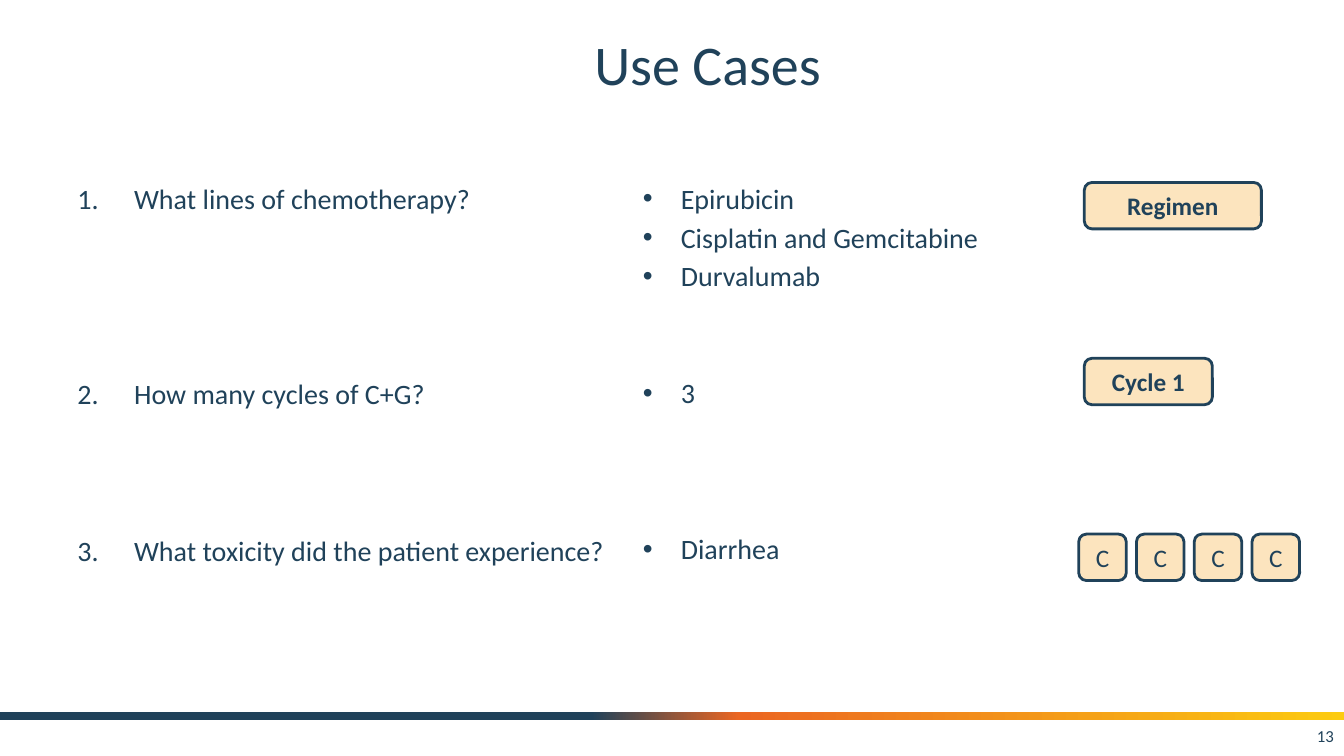
from lxml import etree
from pptx import Presentation
from pptx.dml.color import RGBColor
from pptx.enum.shapes import MSO_SHAPE as Shape
from pptx.enum.text import MSO_ANCHOR as Anchor, MSO_AUTO_SIZE as AutoSize, PP_ALIGN as Align
from pptx.oxml.ns import qn
from pptx.util import Pt

COLORS = {"navy": "20425A", "orange": "EB6622", "yellow": "FCCB10", "amber": "F5A118"}
FONT = "Calibri"
LINE_HEIGHT = 24.4  # of 20 pt text
LINE_PITCH = 28  # line height plus paragraph spacing
NUMBER = ("buAutoNum", {"type": "arabicPeriod"})
BULLET = ("buChar", {"char": "•"})

# Each entry: text, and how many lines it sits below the entry before it
QUESTIONS = [
    ("What lines of chemotherapy?", 0),
    ("How many cycles of C+G?", 5),
    ("What toxicity did the patient experience?", 4),
]
ANSWERS = [
    ("Epirubicin", 0),
    ("Cisplatin and Gemcitabine", 1),
    ("Durvalumab", 1),
    ("3", 3),
    ("Diarrhea", 4),
]


def color(name):
    return RGBColor.from_string(COLORS[name])


def place(shape, box):
    for name, value in zip(("left", "top", "width", "height"), box):
        setattr(shape, name, Pt(value))


def write(para, text, size, bold=False):
    span = para.add_run()
    span.text = text
    span.font.color.rgb = color("navy")
    for name, value in {"name": FONT, "size": Pt(size), "bold": bold}.items():
        setattr(span.font, name, value)


def set_frame(frame, anchor):
    settings = {"word_wrap": True, "auto_size": AutoSize.NONE, "vertical_anchor": anchor}
    for name, value in settings.items():
        setattr(frame, name, value)


def write_line(shape, text, size, align, bold=False):
    set_frame(shape.text_frame, Anchor.MIDDLE)
    para = shape.text_frame.paragraphs[0]
    para.alignment = align
    write(para, text, size, bold)


def add_title(page, box, text):
    place(page.shapes.title, box)
    write_line(page.shapes.title, text, 40, Align.CENTER)


def add_list(page, box, entries, marker, indent):
    area = page.shapes.add_textbox(*map(Pt, box))
    set_frame(area.text_frame, Anchor.TOP)
    for index, (text, lines_down) in enumerate(entries):
        para = area.text_frame.add_paragraph() if index else area.text_frame.paragraphs[0]
        para.space_before = Pt(lines_down * LINE_PITCH - LINE_HEIGHT if index else 0)
        write(para, text, 20)
        # Hanging marker in the text colour
        props = para._p.get_or_add_pPr()
        props.set("marL", str(Pt(indent)))
        props.set("indent", str(-Pt(indent)))
        tint = etree.SubElement(props, qn("a:buClr"))
        etree.SubElement(tint, qn("a:srgbClr"), val=COLORS["navy"])
        if marker is BULLET:
            etree.SubElement(props, qn("a:buFont"), typeface="Arial")
        tag, values = marker
        etree.SubElement(props, qn(f"a:{tag}"), values)


def add_chip(page, box, text, bold):
    chip = page.shapes.add_shape(Shape.ROUNDED_RECTANGLE, *map(Pt, box))
    chip.shadow.inherit = False
    chip.fill.solid()
    chip.fill.fore_color.rgb = color("amber")
    tint = next(chip._element.spPr.iter(qn("a:srgbClr")))
    etree.SubElement(tint, qn("a:alpha"), val="28000")
    chip.line.color.rgb = color("navy")
    chip.line.width = Pt(2)
    write_line(chip, text, 18, Align.CENTER, bold)


def add_chips(page, box):
    left, top, width, height = box
    row_pitch = 125.6
    add_chip(page, (left + 4, top, 126.5, height), "Regimen", True)
    add_chip(page, (left + 4, top + row_pitch, 91.5, height), "Cycle 1", True)
    chip_width, count = 34, 4
    pitch = (width - chip_width) / (count - 1)
    for index in range(count):
        chip_box = (left + index * pitch, top + 2 * row_pitch, chip_width, height)
        add_chip(page, chip_box, "C", False)


def add_footer(page, box, number):
    left, top, width, height = box
    band = page.shapes.add_shape(Shape.RECTANGLE, *map(Pt, (left, top, width, 5.8)))
    band.shadow.inherit = False
    band.line.fill.background()
    band.fill.gradient()
    band.fill.gradient_angle = 0
    # Four gradient stops, navy to yellow
    stops = next(band._element.spPr.iter(qn("a:gsLst")))
    for stop in list(stops):
        stops.remove(stop)
    for percent, name in ((0, "navy"), (44, "navy"), (55, "orange"), (100, "yellow")):
        stop = etree.SubElement(stops, qn("a:gs"), pos=str(percent * 1000))
        etree.SubElement(stop, qn("a:srgbClr"), val=COLORS[name])
    # Page number
    label_box = (left + width - 224, top + 3, 224, height - 3)
    label = page.shapes.add_textbox(*map(Pt, label_box))
    write_line(label, number, 12, Align.RIGHT)


def add_use_cases(deck):
    page = deck.slides.add_slide(deck.slide_layouts[5])
    add_footer(page, (0, 508.4, 960, 31.6), "13")
    add_title(page, (98.6, 12.2, 813.6, 66.2), "Use Cases")
    add_list(page, (48.2, 126, 424, 356.4), QUESTIONS, NUMBER, 40.5)
    add_list(page, (452.2, 126, 321.8, 356.4), ANSWERS, BULLET, 27)
    add_chips(page, (770.5, 130.3, 157.8, 33.2))


def main():
    deck = Presentation()
    deck.slide_width, deck.slide_height = Pt(960), Pt(540)
    add_use_cases(deck)
    deck.save("out.pptx")


if __name__ == "__main__":
    main()
